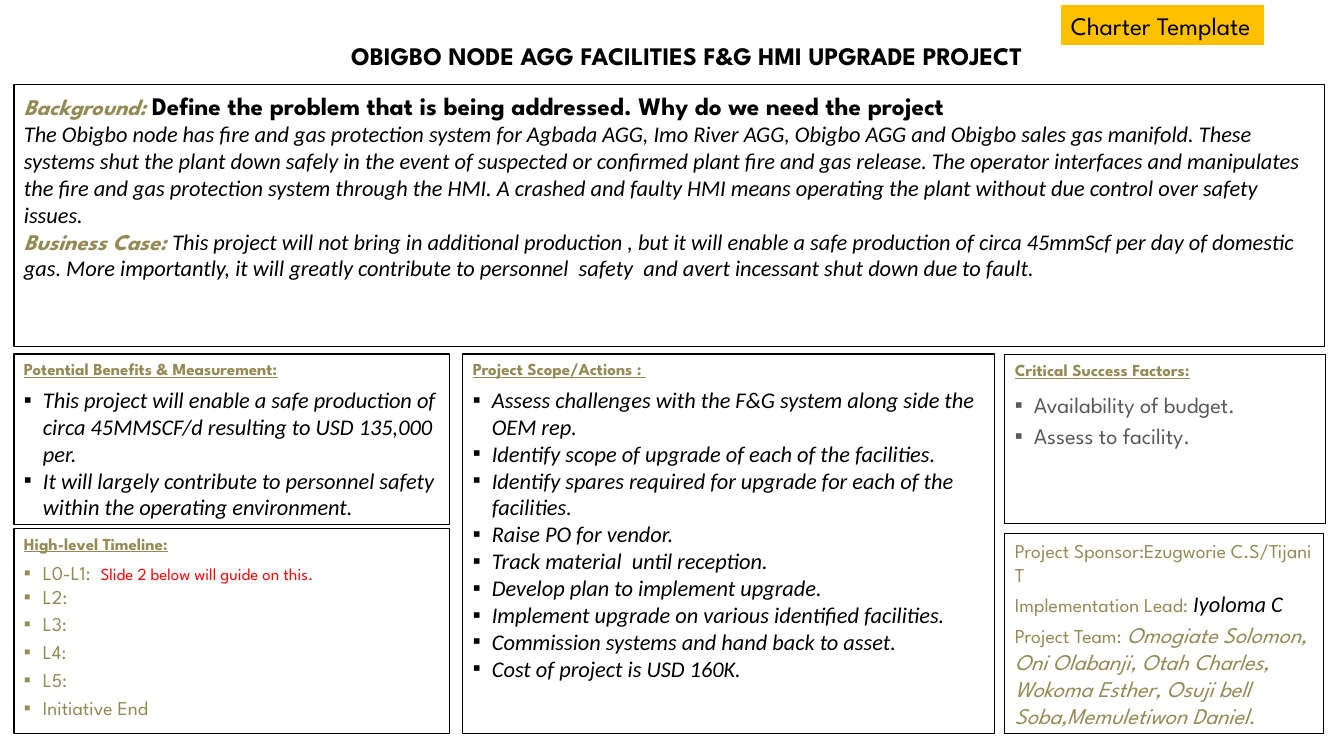
import pptx
import pptx.dml.color
import pptx.enum.shapes
import pptx.enum.text
import pptx.oxml.ns
import pptx.util
import lxml.etree

ALIGN = pptx.enum.text.PP_ALIGN
ANCHOR = pptx.enum.text.MSO_ANCHOR
SPARTAN, CALIBRI = "League Spartan", "Calibri"
OLIVE, BLACK, GREY, RED, WHITE, AMBER = "948A54", "000000", "595959", "FF0000", "FFFFFF", "FFC000"
EMU_PER_PX = 914400 / 100.8

# Run formats
TITLE = dict(size=18, bold=True)
LEAD = dict(size=16, color=OLIVE, bold=True, italic=True)
HEADING = dict(size=12, color=OLIVE, bold=True, underline=True)
PROSE = dict(size=16, font=CALIBRI, italic=True)
LABEL = dict(size=14, color=OLIVE)
MEMBERS = dict(size=16, color=OLIVE, italic=True)
FACTOR = dict(size=16, color=GREY)
HINT = dict(size=12, color=RED)
TAG = dict(size=18)

# Paragraph formats
PLAIN = dict()
HEAD = dict(align=ALIGN.JUSTIFY, after=5)
ITEM = dict(bullet=True)
SPACED_ITEM = dict(bullet=True, before=3)
SPACED = dict(before=3)


def headed(heading, items):
    return [(HEAD, [(heading, HEADING)])] + items


def listed(items, run_format, para_format=ITEM):
    return [(para_format, [(item, run_format)]) for item in items]


# Content: each paragraph is (paragraph format, [(text, run format), ...])
title = [(dict(align=ALIGN.CENTER), [("OBIGBO NODE AGG FACILITIES F&G HMI UPGRADE PROJECT", TITLE)])]

background = [
    (PLAIN, [("Background: ", LEAD),
             ("Define the problem that is being addressed. Why do we need the project", TITLE)]),
    (PLAIN, [("The Obigbo node has fire and gas protection system for Agbada AGG, Imo River AGG, "
              "Obigbo AGG and Obigbo sales gas manifold. These systems shut the plant down safely in "
              "the event of suspected or confirmed plant fire and gas release. The operator interfaces "
              "and manipulates the fire and gas protection system through the HMI. A crashed and faulty "
              "HMI means operating the plant without due control over safety issues.", PROSE)]),
    (PLAIN, [("Business Case: ", LEAD),
             ("This project will not bring in additional production , but it will enable a safe "
              "production of circa 45mmScf per day of domestic gas. More importantly, it will greatly "
              "contribute to personnel  safety  and avert incessant shut down due to fault.", PROSE)]),
]
scope = headed("Project Scope/Actions : ", listed([
    "Assess challenges with the F&G system along side the OEM rep.",
    "Identify scope of upgrade of each of the facilities.",
    "Identify spares required for upgrade for each of the facilities.",
    "Raise PO for vendor.",
    "Track material  until reception.",
    "Develop plan to implement upgrade.",
    "Implement upgrade on various identified facilities.",
    "Commission systems and hand back to asset.",
    "Cost of project is USD 160K.",
], PROSE))
team = [
    (PLAIN, [("Project Sponsor:Ezugworie C.S/Tijani T", LABEL)]),
    (SPACED, [("Implementation Lead: ", LABEL), ("Iyoloma C", PROSE)]),
    (SPACED, [("Project Team: ", LABEL),
              ("Omogiate Solomon, Oni Olabanji, Otah Charles, Wokoma Esther, Osuji bell "
               "Soba,Memuletiwon Daniel.", MEMBERS)]),
]
timeline = headed(
    "High-level Timeline:",
    [(ITEM, [("L0-L1:  ", LABEL), ("Slide 2 below will guide on this.", HINT)])]
    + listed(["L2:"], LABEL)
    + listed(["L3:", "L4:", "L5:", "Initiative End"], LABEL, SPACED_ITEM))
factors = headed("Critical Success Factors:", listed(
    ["Availability of budget.", "Assess to facility."], FACTOR, SPACED_ITEM))
benefits = headed("Potential Benefits & Measurement:", listed([
    "This project will enable a safe production of circa 45MMSCF/d resulting to USD 135,000 per.",
    "It will largely contribute to personnel safety within the operating environment.",
], PROSE))
tag = [(PLAIN, [("Charter Template", TAG)])]

# Panels: left, top, width, height in px, fill, line, paragraphs
PANELS = [
    (14, 85, 1311, 262, None, BLACK, background),
    (463, 354, 532, 380, None, BLACK, scope),
    (1005, 534, 319, 200, None, BLACK, team),
    (14, 529, 436, 205, WHITE, BLACK, timeline),
    (1005, 355, 321, 169, WHITE, BLACK, factors),
    (14, 354, 436, 171, WHITE, BLACK, benefits),
    (1061, 5, 203, 40, AMBER, None, tag),
]


def px(length):
    return pptx.util.Emu(round(length * EMU_PER_PX))


def rgb(color):
    return pptx.dml.color.RGBColor.from_string(color)


def add_span(para, text, size, font=SPARTAN, color=BLACK, bold=False, italic=False, underline=False):
    span = para.add_run()
    span.text = text
    span.font.size = pptx.util.Pt(size)
    span.font.name = font
    span.font.color.rgb = rgb(color)
    span.font.bold, span.font.italic, span.font.underline = bold, italic, underline


def format_para(para, align=ALIGN.LEFT, before=0, after=0, bullet=False):
    para.alignment = align
    para.space_before = pptx.util.Pt(before)
    para.space_after = pptx.util.Pt(after)
    if bullet:
        properties = para._p.get_or_add_pPr()
        properties.set("marL", str(px(19)))
        properties.set("indent", str(-px(19)))
        for name, key, value in (("a:buFont", "typeface", "Arial"), ("a:buChar", "char", "▪")):
            lxml.etree.SubElement(properties, pptx.oxml.ns.qn(name)).set(key, value)


def write(frame, paragraphs, anchor=ANCHOR.TOP, wrap=True):
    frame.word_wrap = wrap
    frame.auto_size = pptx.enum.text.MSO_AUTO_SIZE.NONE
    frame.vertical_anchor = anchor
    for index, (para_format, spans) in enumerate(paragraphs):
        para = frame.add_paragraph() if index else frame.paragraphs[0]
        format_para(para, **para_format)
        for text, run_format in spans:
            add_span(para, text, **run_format)


def add_panel(page, left, top, width, height, fill, line, paragraphs):
    box = page.shapes.add_shape(pptx.enum.shapes.MSO_SHAPE.RECTANGLE,
                                px(left), px(top), px(width), px(height))
    box.shadow.inherit = False
    if fill:
        box.fill.solid()
        box.fill.fore_color.rgb = rgb(fill)
    else:
        box.fill.background()
    if line:
        box.line.color.rgb = rgb(line)
        box.line.width = pptx.util.Pt(0.75)
    else:
        box.line.fill.background()
    write(box.text_frame, paragraphs, wrap=paragraphs is not tag)


def main():
    deck = pptx.Presentation()
    deck.slide_width, deck.slide_height = px(1344), px(756)
    page = deck.slides.add_slide(deck.slide_layouts[5])

    # Title
    heading = page.shapes.title
    heading.left, heading.top, heading.width, heading.height = px(51), px(36), px(1272), px(39)
    write(heading.text_frame, title, anchor=ANCHOR.MIDDLE)

    # Charter panels and tag
    for panel in PANELS:
        add_panel(page, *panel)
    deck.save("out.pptx")


if __name__ == "__main__":
    main()
